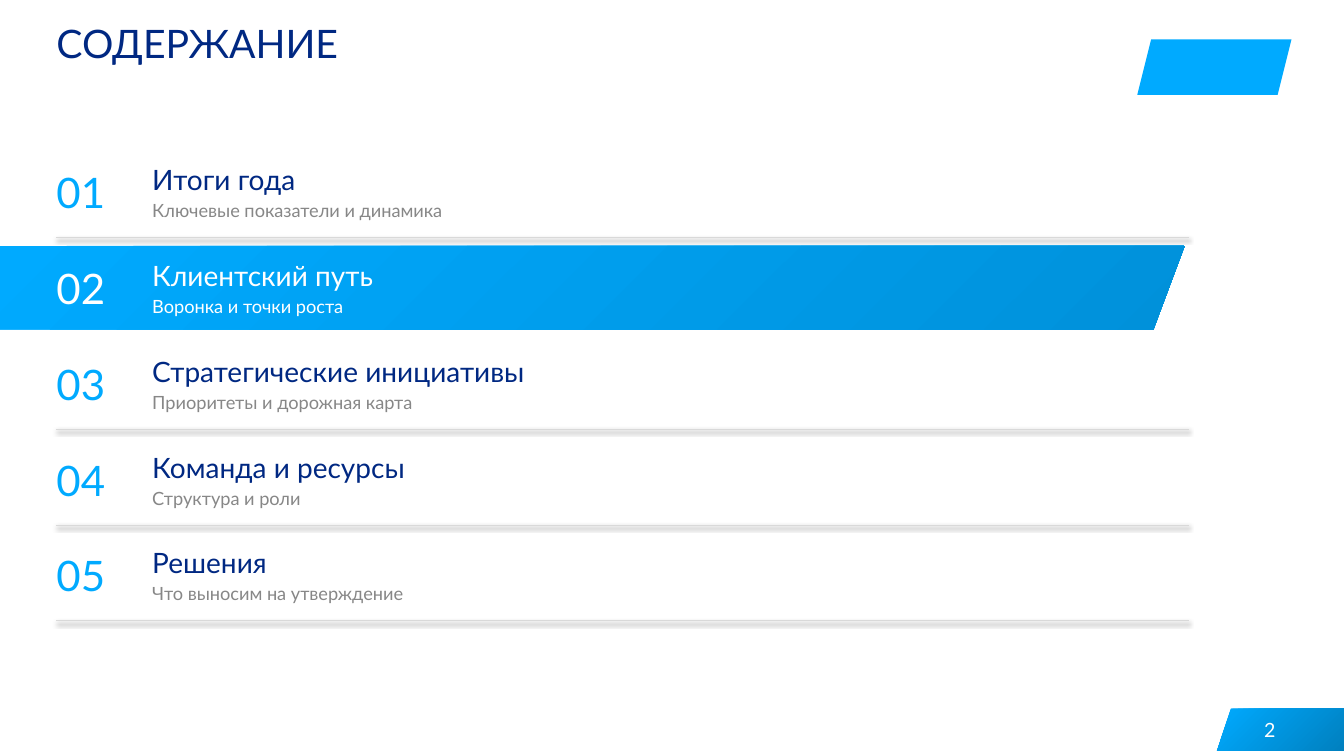
from pptx import Presentation
from pptx.dml.color import RGBColor
from pptx.enum import shapes, text
from pptx.oxml import parse_xml
from pptx.oxml.ns import nsdecls
from pptx.util import Inches, Pt

NAVY, SKY, GREY, WHITE, RULE = "002882", "00AAFF", "878787", "FFFFFF", "D9D9D9"
TOP, MID, LOW = text.MSO_ANCHOR.TOP, text.MSO_ANCHOR.MIDDLE, text.MSO_ANCHOR.BOTTOM
SHADOW = (
    f'<a:effectLst {nsdecls("a")}>'
    '<a:outerShdw blurRad="40000" dist="20000" dir="5400000" rotWithShape="0">'
    '<a:srgbClr val="000000"><a:alpha val="38000"/></a:srgbClr>'
    '</a:outerShdw></a:effectLst>'
)
TOPICS = [
    ("Итоги года", "Ключевые показатели и динамика"),
    ("Клиентский путь", "Воронка и точки роста"),
    ("Стратегические инициативы", "Приоритеты и дорожная карта"),
    ("Команда и ресурсы", "Структура и роли"),
    ("Решения", "Что выносим на утверждение"),
]
ACTIVE = 1
LEFT, FIRST, PITCH, HIGH = 0.56, 1.49, 0.95, 0.83


def color(code):
    return RGBColor.from_string(code)


def write(shape, words, size=13, ink=NAVY, anchor=TOP, align=text.PP_ALIGN.LEFT, inset=0):
    """Put one formatted paragraph into a shape."""
    frame = shape.text_frame
    frame.word_wrap = True
    frame.vertical_anchor = anchor
    frame.margin_left = frame.margin_right = Inches(inset)
    frame.margin_top = frame.margin_bottom = Inches(inset / 2)
    para = frame.paragraphs[0]
    para.alignment = align
    run = para.add_run()
    run.text = words
    run.font.name = "Lato"
    run.font.size = Pt(size)
    run.font.color.rgb = color(ink)


class Deck:
    def __init__(self):
        self.show = Presentation()
        self.show.slide_width = Inches(13.33)
        self.show.slide_height = Inches(7.5)
        self.slide = self.show.slides.add_slide(self.show.slide_layouts[5])
        self.shapes = self.slide.shapes

    def title(self, words):
        head = self.shapes.title
        head.left, head.top = Inches(LEFT), Inches(0.19)
        head.width, head.height = Inches(10.48), Inches(0.94)
        write(head, words, size=28)
        head.text_frame.auto_size = text.MSO_AUTO_SIZE.SHAPE_TO_FIT_TEXT

    def text(self, words, x, y, w, h, **style):
        box = self.shapes.add_textbox(Inches(x), Inches(y), Inches(w), Inches(h))
        write(box, words, **style)

    def band(self, points, dark):
        """Draw a slanted outline with a diagonal gradient."""
        spots = [(Inches(x), Inches(y)) for x, y in points]
        form = self.shapes.build_freeform(*spots[0])
        form.add_line_segments(spots[1:], close=True)
        band = form.convert_to_shape()
        band.shadow.inherit = False
        band.line.fill.background()
        band.fill.gradient()
        band.fill.gradient_angle = 315
        for stop, code in zip(band.fill.gradient_stops, (SKY, dark)):
            stop.color.rgb = color(code)

    def rule(self, y):
        line = self.shapes.add_connector(
            shapes.MSO_CONNECTOR.STRAIGHT, Inches(LEFT), Inches(y), Inches(11.79), Inches(y))
        line.line.color.rgb = color(RULE)
        line.line.width = Pt(0.75)
        line._element.spPr.append(parse_xml(SHADOW))

    def badge(self, x, y, w, h):
        mark = self.shapes.add_shape(
            shapes.MSO_SHAPE.PARALLELOGRAM, Inches(x), Inches(y), Inches(w), Inches(h))
        mark.shadow.inherit = False
        mark.fill.solid()
        mark.fill.fore_color.rgb = color(SKY)
        mark.line.fill.background()

    def topic(self, index, name, note):
        y = FIRST + index * PITCH
        active = index == ACTIVE
        wide = 9.98 if active else 11.21
        if active:
            self.band([(0, y), (11.75, y), (11.44, y + HIGH), (0, y + HIGH)], "0091DA")
        self.text(f"{index + 1:02}", LEFT, y, 0.85, HIGH,
                  size=30, ink=WHITE if active else SKY, anchor=MID)
        self.text(name, 1.51, y + 0.06, wide, 0.4,
                  size=20, ink=WHITE if active else NAVY, anchor=LOW)
        self.text(note, 1.51, y + 0.49, wide, 0.38, ink=WHITE if active else GREY)
        if not active:
            self.rule(y + 0.87)


def main():
    deck = Deck()
    deck.band([(12.21, 7.03), (13.33, 7.03), (13.33, 7.45), (12.07, 7.45)], "0080BF")
    deck.badge(11.28, 0.39, 1.53, 0.55)
    deck.title("СОДЕРЖАНИЕ")
    deck.text("2", 12.19, 7.04, 0.56, 0.4, size=14, ink=WHITE,
              anchor=MID, align=text.PP_ALIGN.RIGHT, inset=0.1)
    for index, (name, note) in enumerate(TOPICS):
        deck.topic(index, name, note)
    deck.show.save("out.pptx")


if __name__ == "__main__":
    main()
